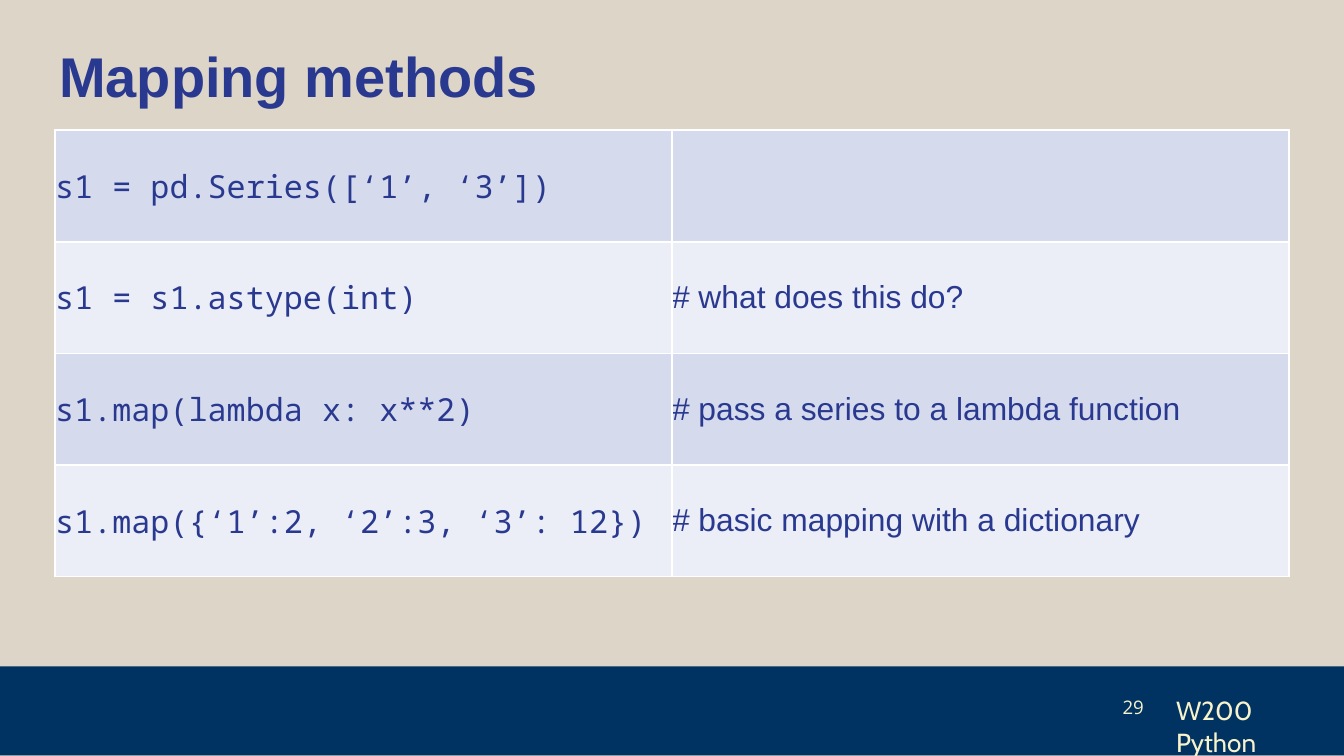
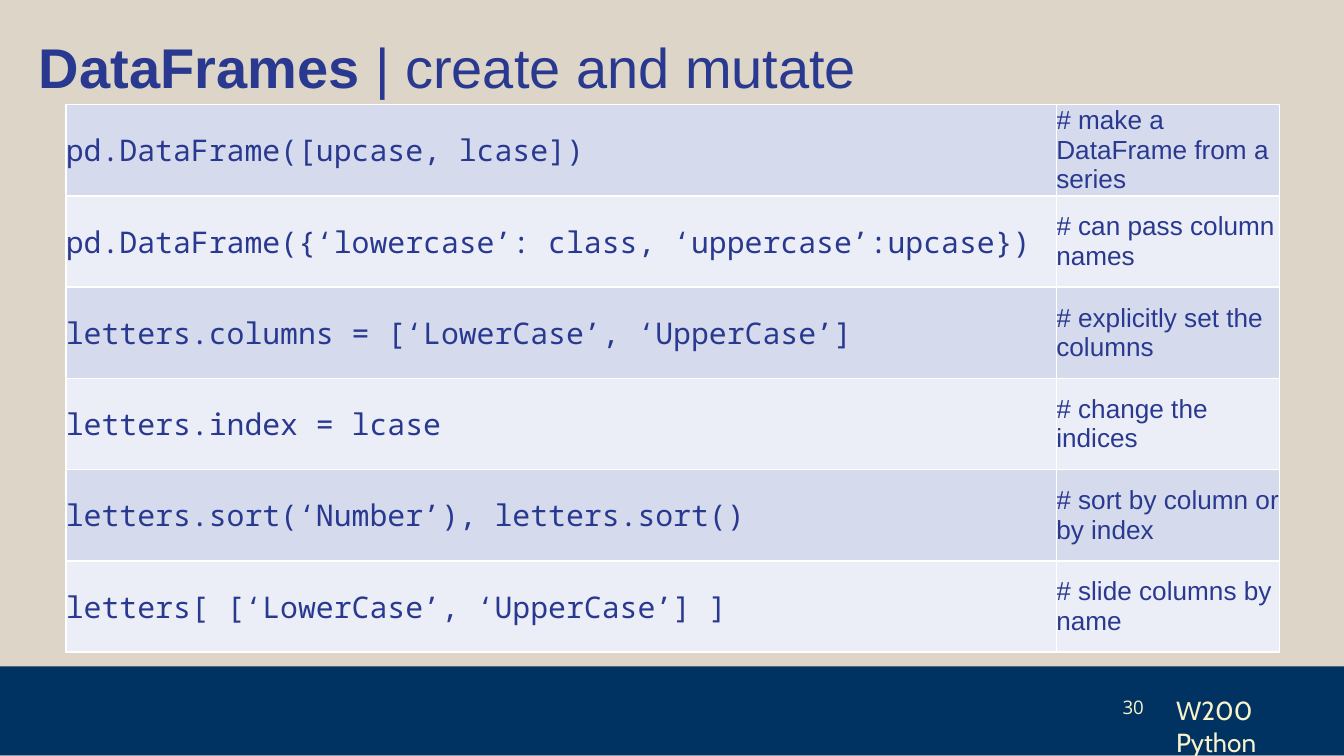
from lxml.etree import SubElement as Sub
from pptx import Presentation
from pptx.dml.color import RGBColor as Rgb
from pptx.enum.shapes import MSO_SHAPE as Form
from pptx.enum.text import MSO_ANCHOR as Anchor, MSO_AUTO_SIZE as Auto, PP_ALIGN as Align
from pptx.oxml.ns import qn
from pptx.util import Pt

SAND, NAVY, INK, CREAM, WHITE = "DDD5C7", "003262", "2A3990", "F8F3CB", "FFFFFF"
BANDS = "D5DBED", "EBEEF6"
MONO, SANS = "Noto Sans Mono", "Arial"
SIDES = "left", "top", "right", "bottom"


def paint(fill, tone):
    fill.solid()
    fill.fore_color.rgb = Rgb.from_string(tone)


def place(shape, box):
    for name, val in zip(("left", "top", "width", "height"), box):
        setattr(shape, name, Pt(val))


def style(item, form):
    for name, val in form.items():
        setattr(item, name, val)


class Deck:
    """Hold the style and the current slide, and add each kind of element."""

    def __init__(self):
        self.prs = Presentation()
        style(self.prs, {"slide_width": Pt(720), "slide_height": Pt(405)})
        paint(self.prs.slide_master.background.fill, SAND)

    def start(self, num):
        self.slide = self.prs.slides.add_slide(self.prs.slide_layouts[5])
        self.band((0, 357, 720, 47.7))
        self.label("W200 Python", (630, 372.2, 78.5, 13.7), "Cabin", 14)
        self.label(num, (593.3, 365, 26.6, 28), "Open Sans", 10, 7.2,
                   Align.RIGHT, Anchor.MIDDLE)

    def band(self, box):
        shape = self.slide.shapes.add_shape(Form.RECTANGLE, *map(Pt, box))
        shape.shadow.inherit = False
        paint(shape.fill, NAVY)
        shape.line.fill.background()

    def frame(self, shape, pad, anchor):
        form = {"margin_" + side: Pt(pad) for side in SIDES}
        style(shape.text_frame, form | {
            "word_wrap": True, "auto_size": Auto.NONE, "vertical_anchor": anchor})

    def words(self, para, text, face, size, tone=INK, bold=False):
        run = para.add_run()
        run.text = text
        style(run.font, {"name": face, "size": Pt(size), "bold": bold})
        run.font.color.rgb = Rgb.from_string(tone)

    def label(self, text, box, face, size, pad=0, align=Align.LEFT, anchor=Anchor.TOP):
        shape = self.slide.shapes.add_textbox(*map(Pt, box))
        self.frame(shape, pad, anchor)
        para = shape.text_frame.paragraphs[0]
        para.alignment = align
        self.words(para, text, face, size, CREAM)

    def title(self, left, top, bold, plain=""):
        shape = self.slide.shapes.title
        place(shape, (left, top, 671, 47.5))
        self.frame(shape, 7.2, Anchor.TOP)
        para = shape.text_frame.paragraphs[0]
        para.alignment = Align.LEFT
        self.words(para, bold, SANS, 30, bold=True)
        if plain:
            self.words(para, plain, SANS, 30)

    def edge(self, cell):
        props = cell._tc.get_or_add_tcPr()
        for side in "LRTB":
            line = Sub(props, qn("a:ln" + side), w=str(Pt(1)))
            Sub(Sub(line, qn("a:solidFill")), qn("a:srgbClr"), val=WHITE)

    def table(self, left, top, cols, high, sizes, rows):
        box = left, top, sum(cols), high * len(rows)
        grid = self.slide.shapes.add_table(len(rows), len(cols), *map(Pt, box)).table
        for col, wide in zip(grid.columns, cols):
            col.width = Pt(wide)
        for i, (row, texts) in enumerate(zip(grid.rows, rows)):
            row.height = Pt(high)
            for cell, text, face, size in zip(row.cells, texts, (MONO, SANS), sizes):
                style(cell, {"margin_" + side: 0 for side in SIDES})
                cell.vertical_anchor = Anchor.MIDDLE
                self.edge(cell)
                paint(cell.fill, BANDS[i % 2])
                if text:
                    self.words(cell.text_frame.paragraphs[0], text, face, size)


def main():
    deck = Deck()

    deck.start("29")
    deck.title(24.5, 15.1, "Mapping methods")
    deck.table(29.5, 69.8, (330.5, 330.5), 59.8, (17, 17), [
        ("s1 = pd.Series([‘1’, ‘3’])", ""),
        ("s1 = s1.astype(int)", "# what does this do?"),
        ("s1.map(lambda x: x**2)", "# pass a series to a lambda function"),
        ("s1.map({‘1’:2, ‘2’:3, ‘3’: 12})", "# basic mapping with a dictionary"),
    ])

    deck.start("30")
    deck.title(13.7, 10.1, "DataFrames ", "| create and mutate")
    deck.table(35.3, 56, (530.6, 119.5), 48.9, (16, 14), [
        ("pd.DataFrame([upcase, lcase])", "# make a DataFrame from a series"),
        ("pd.DataFrame({‘lowercase’: class, ‘uppercase’:upcase})",
         "# can pass column names"),
        ("letters.columns = [‘LowerCase’, ‘UpperCase’]", "# explicitly set the columns"),
        ("letters.index = lcase", "# change the indices"),
        ("letters.sort(‘Number’), letters.sort()", "# sort by column or by index"),
        ("letters[ [‘LowerCase’, ‘UpperCase’] ]", "# slide columns by name"),
    ])

    deck.prs.save("out.pptx")


if __name__ == "__main__":
    main()
